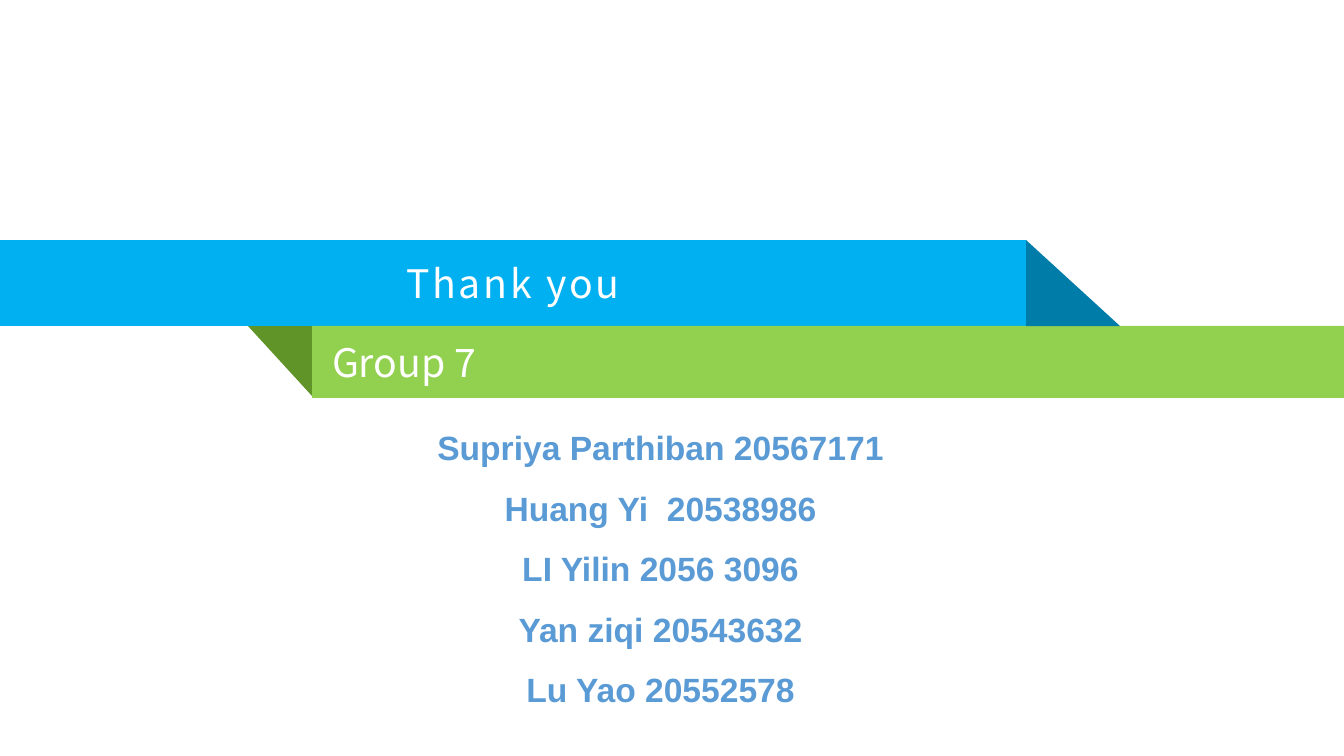
from pptx import Presentation
from pptx.dml.color import RGBColor
from pptx.enum.shapes import MSO_SHAPE
from pptx.enum.text import MSO_ANCHOR, MSO_AUTO_SIZE, PP_ALIGN
from pptx.util import Pt

WIDTH, HEIGHT = 1344, 756
SCALE = 12192000 / WIDTH

WHITE = RGBColor(0xFF, 0xFF, 0xFF)
BLUE = RGBColor(0x00, 0xB0, 0xF0)
DARK_BLUE = RGBColor(0x00, 0x7C, 0xA8)
GREEN = RGBColor(0x92, 0xD0, 0x50)
DARK_GREEN = RGBColor(0x61, 0x94, 0x28)
NAME_BLUE = RGBColor(0x5B, 0x9B, 0xD5)

BANNER_FONT = "Noto Sans CJK SC"
NAME_FONT = "Arial"
MEMBERS = [
    "Supriya Parthiban 20567171",
    "Huang Yi  20538986",
    "LI Yilin 2056 3096",
    "Yan ziqi 20543632",
    "Lu Yao 20552578",
]


def px(n):
    return round(n * SCALE)


def write(tf, lines, *, font=BANNER_FONT, size=28, color=WHITE, bold=False,
          align=PP_ALIGN.LEFT, line_spacing=1.0, tracking=0, margins=(10, 5)):
    tf.word_wrap = True
    tf.auto_size = MSO_AUTO_SIZE.NONE
    tf.vertical_anchor = MSO_ANCHOR.MIDDLE
    tf.margin_left = tf.margin_right = px(margins[0])
    tf.margin_top = tf.margin_bottom = px(margins[1])
    for i, line in enumerate(lines):
        p = tf.add_paragraph() if i else tf.paragraphs[0]
        p.alignment = align
        p.line_spacing = line_spacing
        r = p.add_run()
        r.text = line
        r.font.name = font
        r.font.size = Pt(size)
        r.font.bold = bold
        r.font.color.rgb = color
        if tracking:
            r._r.get_or_add_rPr().set("spc", str(tracking * 100))


class Deck:
    def __init__(self):
        self.prs = Presentation()
        self.prs.slide_width, self.prs.slide_height = px(WIDTH), px(HEIGHT)
        self.slide = self.prs.slides.add_slide(self.prs.slide_layouts[5])

    def paint(self, sp, color):
        sp.fill.solid()
        sp.fill.fore_color.rgb = color
        sp.line.fill.background()

    def title(self, text, x, y, w, h, color):
        sp = self.slide.shapes.title
        sp.left, sp.top, sp.width, sp.height = map(px, (x, y, w, h))
        self.paint(sp, color)
        write(sp.text_frame, [text], align=PP_ALIGN.CENTER, tracking=2, margins=(0, 0))

    def shape(self, kind, x, y, w, h, color):
        sp = self.slide.shapes.add_shape(kind, *map(px, (x, y, w, h)))
        sp.shadow.inherit = False
        self.paint(sp, color)
        return sp

    def polygon(self, points, color):
        start, *rest = points
        fb = self.slide.shapes.build_freeform(*start, scale=SCALE)
        fb.add_line_segments(rest, close=True)
        sp = fb.convert_to_shape()
        sp.shadow.inherit = False
        self.paint(sp, color)

    def text(self, lines, x, y, w, h, **style):
        sp = self.slide.shapes.add_textbox(*map(px, (x, y, w, h)))
        write(sp.text_frame, lines, **style)


def main():
    deck = Deck()
    deck.title("Thank you", 0, 240, 1026, 86, BLUE)
    deck.polygon([(248, 326), (313, 397), (313, 326)], DARK_GREEN)
    group = deck.shape(MSO_SHAPE.RECTANGLE, 312, 326, 1032, 72, GREEN)
    write(group.text_frame, ["Group 7"], margins=(20, 0))
    deck.shape(MSO_SHAPE.RIGHT_TRIANGLE, 1026, 240, 94, 86, DARK_BLUE)
    deck.text(MEMBERS, 280, 465, 761, 186, font=NAME_FONT, size=24, color=NAME_BLUE,
              bold=True, align=PP_ALIGN.CENTER, line_spacing=1.5)
    deck.prs.save("out.pptx")


if __name__ == "__main__":
    main()
